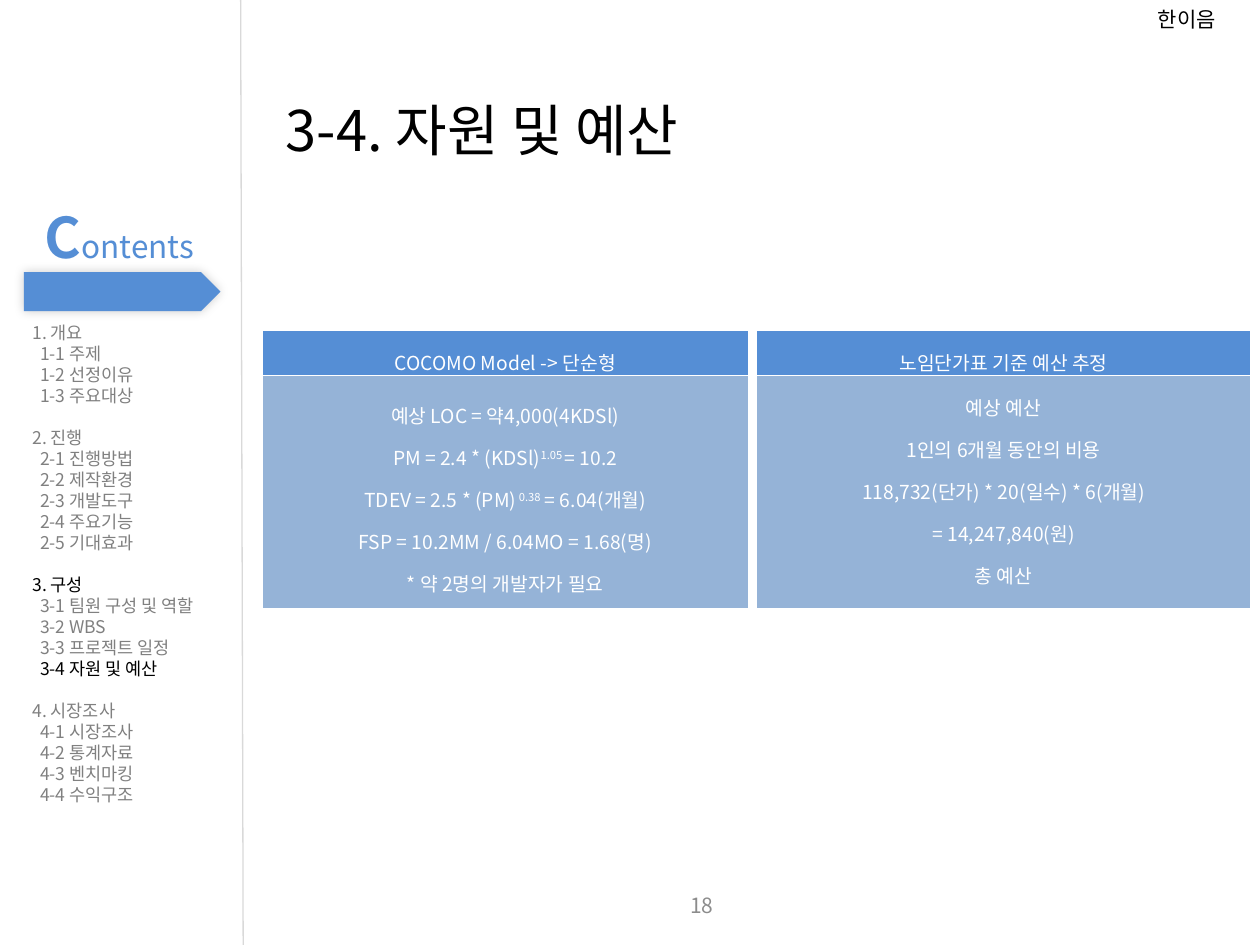
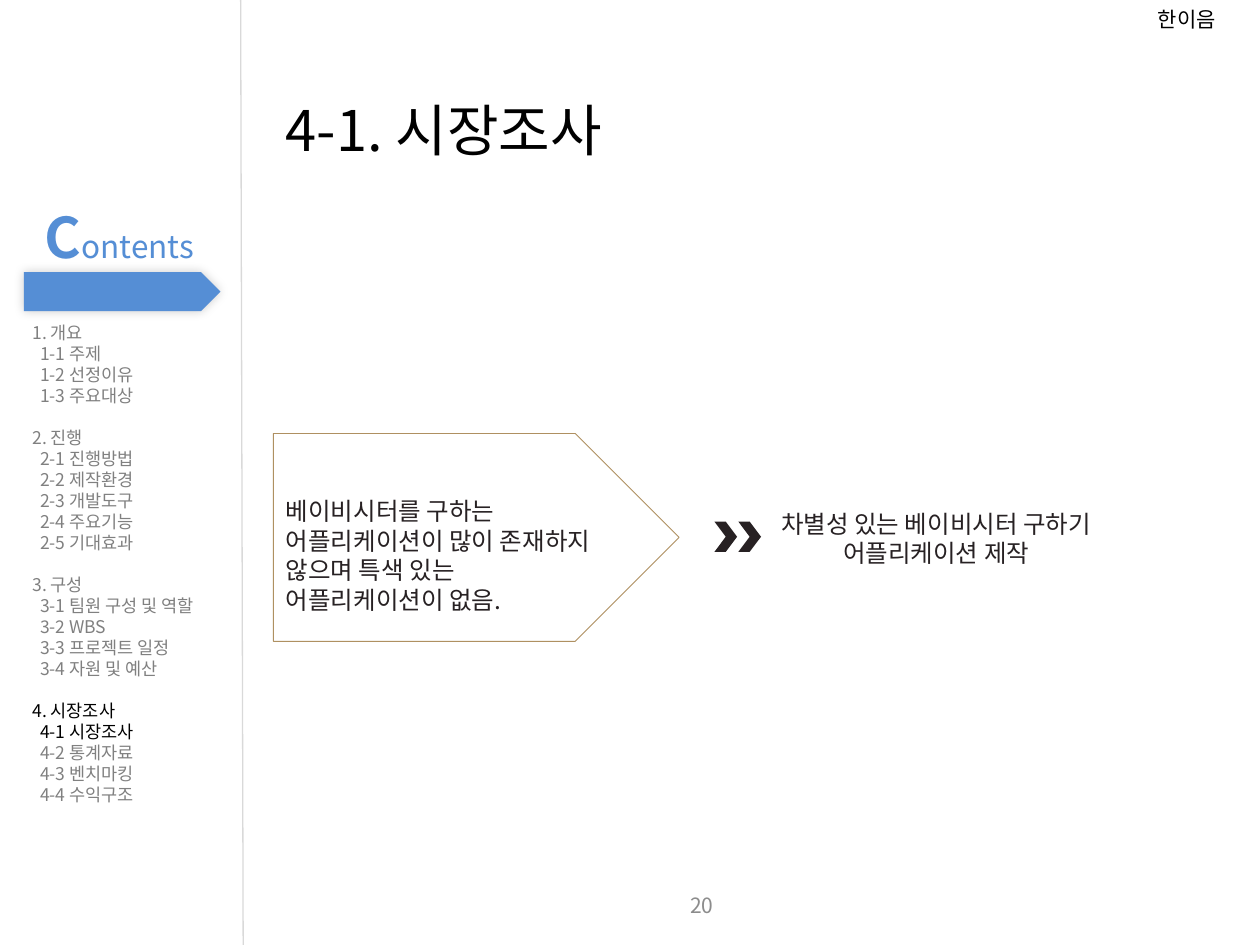
from dataclasses import dataclass

from lxml import etree
from pptx import Presentation
from pptx.dml.color import RGBColor
from pptx.enum.shapes import MSO_CONNECTOR, MSO_SHAPE
from pptx.enum.text import MSO_ANCHOR, PP_ALIGN
from pptx.oxml.ns import qn
from pptx.util import Inches, Pt

LEFT, MID, RIGHT = PP_ALIGN.LEFT, PP_ALIGN.CENTER, PP_ALIGN.RIGHT
TOP, CENTER = MSO_ANCHOR.TOP, MSO_ANCHOR.MIDDLE
PLATE, CHEVRON = MSO_SHAPE.PENTAGON, MSO_SHAPE.CHEVRON
STRAIGHT = MSO_CONNECTOR.STRAIGHT


@dataclass(frozen=True)
class Theme:
    font: str = "Noto Sans CJK KR"
    blue: str = "558ED5"
    pale: str = "95B3D7"
    white: str = "FFFFFF"
    black: str = "000000"
    ink: str = "272123"
    gray: str = "808080"
    page: str = "8C8C8C"
    rule: str = "D9D9D9"
    tan: str = "AF9061"
    title: int = 32
    lead: int = 18
    body: int = 14
    small: int = 12
    cell: int = 11
    menu: int = 10


T = Theme()

MENU = [
    ("1. 개요", ["1-1 주제", "1-2 선정이유", "1-3 주요대상"]),
    ("2. 진행", ["2-1 진행방법", "2-2 제작환경", "2-3 개발도구",
               "2-4 주요기능", "2-5 기대효과"]),
    ("3. 구성", ["3-1 팀원 구성 및 역할", "3-2 WBS", "3-3 프로젝트 일정",
               "3-4 자원 및 예산"]),
    ("4. 시장조사", ["4-1 시장조사", "4-2 통계자료", "4-3 벤치마킹",
                 "4-4 수익구조"]),
]

# Each line is a string, or (text, is_raised) parts
MODEL = [
    "예상 LOC = 약4,000(4KDSl)",
    [("PM = 2.4 * (KDSl)", False), ("1.05 ", True), ("= 10.2", False)],
    [("TDEV = 2.5 * (PM)", False), (" 0.38", True), (" = 6.04(개월)", False)],
    "FSP = 10.2MM / 6.04MO = 1.68(명)",
    "* 약 2명의 개발자가 필요",
]
BUDGET = [
    "예상 예산",
    "1인의 6개월 동안의 비용",
    "118,732(단가) * 20(일수) * 6(개월)",
    "= 14,247,840(원)",
    "총 예산",
]


def rgb(code):
    return RGBColor.from_string(code)


def style(run, size, color, bold=False):
    run.font.size = Pt(size)
    run.font.bold = bold
    run.font.color.rgb = rgb(color)
    run.font.name = T.font
    east = etree.SubElement(run.font._element, qn("a:ea"))
    east.set("typeface", T.font)


def add_text(slide, box, text, size, color, align=LEFT, pitch=None, anchor=TOP):
    """Add a wrapped text box; pitch is the line height in points."""
    frame = slide.shapes.add_textbox(*map(Inches, box)).text_frame
    frame.word_wrap = True
    frame.vertical_anchor = anchor
    frame.text = text
    for para in frame.paragraphs:
        para.alignment = align
        if pitch:
            para.line_spacing = Pt(pitch)
        for run in para.runs:
            style(run, size, color)
    return frame


def add_form(slide, kind, box, fill=None, line=None):
    form = slide.shapes.add_shape(kind, *map(Inches, box))
    form.shadow.inherit = False
    if fill:
        form.fill.solid()
        form.fill.fore_color.rgb = rgb(fill)
    else:
        form.fill.background()
    if line:
        form.line.color.rgb = rgb(line)
        form.line.width = Pt(0.5)
    else:
        form.line.fill.background()
    return form


def add_glow(form):
    """Soft dark edge around a shape."""
    effects = form._element.spPr.find(qn("a:effectLst"))
    shade = etree.SubElement(effects, qn("a:outerShdw"), blurRad=str(Pt(6)),
                             dist="0", dir="18900000", rotWithShape="0")
    color = etree.SubElement(shade, qn("a:srgbClr"), val=T.black)
    etree.SubElement(color, qn("a:alpha"), val="20000")


def add_menu(slide, box, active):
    """Section list; entries named in active are dark."""
    rows = []
    for head, items in MENU:
        rows += [(head, 0)] + [(item, 0.06) for item in items]
    text = "\n".join(name for name, _ in rows)
    frame = add_text(slide, box, text, T.menu, T.gray, pitch=12)
    for i, (para, (name, indent)) in enumerate(zip(frame.paragraphs, rows)):
        if indent:
            para._p.get_or_add_pPr().set("marL", str(Inches(indent)))
        elif i:
            para.space_before = Pt(12)
        if name in active:
            para.runs[0].font.color.rgb = rgb(T.black)


def add_side(slide, box, active):
    """Left column: heading, arrow band, menu and dividing line."""
    x, y, w, h = box
    frame = add_text(slide, (x + 0.14, y + 1.56, 1.5, 0.64), "C",
                     T.title, T.blue, RIGHT, 38.4)
    frame.paragraphs[0].runs[0].font.bold = True
    rest = frame.paragraphs[0].add_run()
    rest.text = "ontents"
    style(rest, T.lead, T.blue)
    add_glow(add_form(slide, PLATE, (x + 0.19, y + 2.16, 1.56, 0.31), T.blue))
    add_menu(slide, (x + 0.16, y + 2.51, 2.27, 4.14), active)
    ends = (x + w, y + h, x + w - 0.02, y)
    line = slide.shapes.add_connector(STRAIGHT, *map(Inches, ends))
    line.line.color.rgb = rgb(T.rule)
    line.line.width = Pt(0.75)
    etree.SubElement(line._element.spPr, qn("a:effectLst"))


def add_frame(deck, title, page, active):
    """New slide with everything the slides share."""
    slide = deck.slides.add_slide(deck.slide_layouts[6])
    add_text(slide, (9.09, 0, 0.91, 0.3), "한이음", T.small, T.black, pitch=14.4)
    add_text(slide, (3.43, 6.98, 2.33, 0.4), page, T.small, T.page, RIGHT,
             anchor=CENTER)
    add_text(slide, (2.17, 0.71, 4.24, 0.64), title, T.title, T.black, pitch=38.4)
    add_side(slide, (0, 0, 1.93, 7.5), active)
    return slide


def fill_cell(cell, lines, fill, anchor):
    cell.fill.solid()
    cell.fill.fore_color.rgb = rgb(fill)
    cell.vertical_anchor = anchor
    cell.margin_left = cell.margin_right = Inches(0.07)
    cell.margin_top = cell.margin_bottom = Inches(0.03)
    frame = cell.text_frame
    for i, parts in enumerate(lines):
        para = frame.add_paragraph() if i else frame.paragraphs[0]
        para.alignment = MID
        para.line_spacing = 1.5
        for text, raised in [(parts, False)] if isinstance(parts, str) else parts:
            run = para.add_run()
            run.text = text
            style(run, T.cell, T.white)
            if raised:
                run.font._element.set("baseline", "30000")
    # White borders go ahead of the fill
    props = cell._tc.get_or_add_tcPr()
    for i, side in enumerate(("lnL", "lnR", "lnT", "lnB")):
        edge = etree.Element(qn("a:" + side), w=str(Pt(1)))
        paint = etree.SubElement(edge, qn("a:solidFill"))
        etree.SubElement(paint, qn("a:srgbClr"), val=T.white)
        props.insert(i, edge)


def add_card(slide, box, head, lines, anchor):
    """Table of one heading cell over one body cell."""
    table = slide.shapes.add_table(2, 1, *map(Inches, box)).table
    table.rows[0].height = Inches(0.36)
    table.rows[1].height = Inches(box[3] - 0.36)
    fill_cell(table.cell(0, 0), [head], T.blue, anchor)
    fill_cell(table.cell(1, 0), lines, T.pale, anchor)


def add_flow(slide, box):
    """Finding in an outlined arrow, two chevrons, then the answer."""
    x, y, _, h = box
    add_text(slide, (x, y + 0.45, 2.74, 1.04),
             "베이비시터를 구하는 어플리케이션이 많이 존재하지 않으며 특색 있는 "
             "어플리케이션이 없음.", T.body, T.ink, pitch=16.8)
    for i in range(2):
        add_form(slide, CHEVRON, (x + 3.5 + 0.19 * i, y + 0.7, 0.18, 0.24), T.ink)
    add_text(slide, (x + 3.85, y + 0.55, 2.82, 0.57),
             "차별성 있는 베이비시터 구하기 어플리케이션 제작",
             T.body, T.ink, MID, 16.8)
    add_form(slide, PLATE, (x, y, 3.22, h), line=T.tan)


def main():
    deck = Presentation()
    deck.slide_width, deck.slide_height = Inches(10), Inches(7.5)

    # Resources and budget
    slide = add_frame(deck, "3-4. 자원 및 예산", "18", ("3. 구성", "3-4 자원 및 예산"))
    add_card(slide, (2.08, 2.62, 3.86, 2.21), "COCOMO Model -> 단순형", MODEL, CENTER)
    add_card(slide, (6, 2.62, 3.93, 2.21), "노임단가표 기준 예산 추정", BUDGET, TOP)

    # Market research
    slide = add_frame(deck, "4-1. 시장조사", "20", ("4. 시장조사", "4-1 시장조사"))
    add_flow(slide, (2.17, 3.44, 6.67, 1.65))

    deck.save("out.pptx")


if __name__ == "__main__":
    main()
